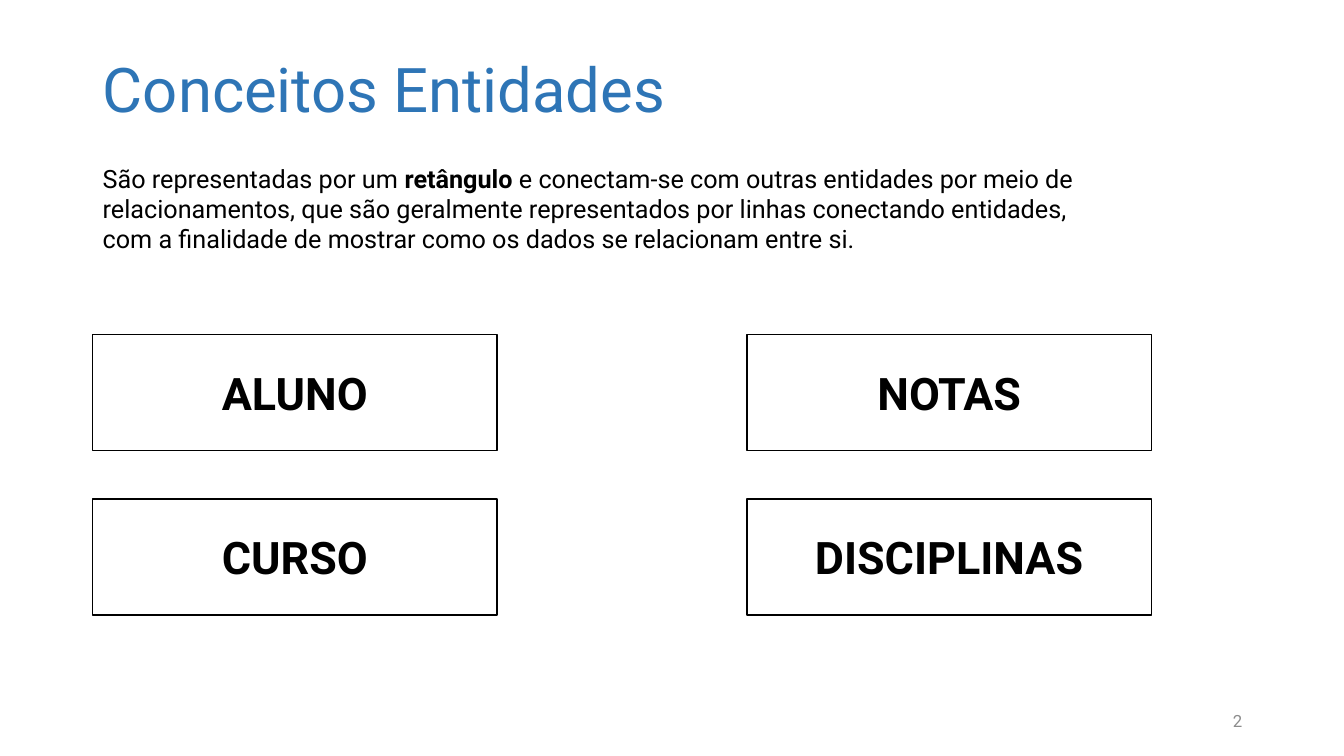
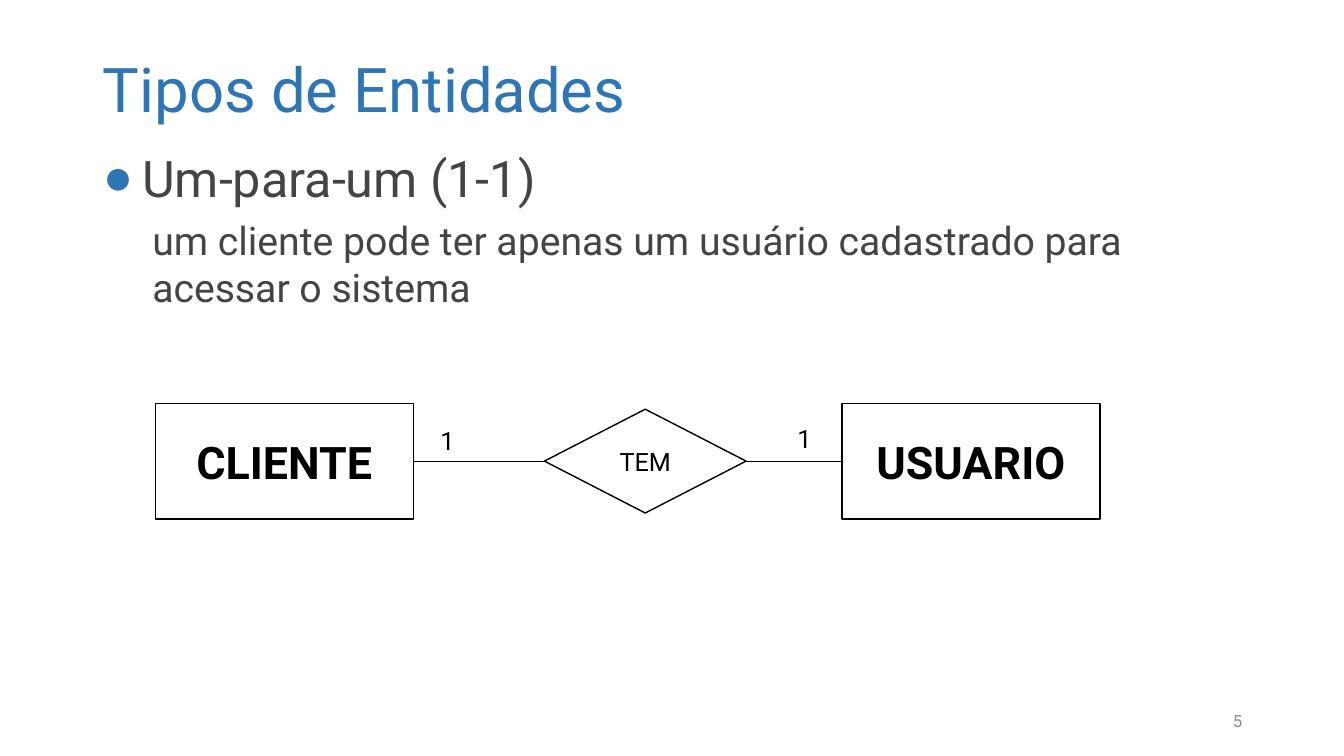
from lxml import etree
from pptx import Presentation
from pptx.dml.color import RGBColor
from pptx.enum.shapes import MSO_CONNECTOR, MSO_SHAPE
from pptx.enum.text import MSO_ANCHOR, MSO_AUTO_SIZE, PP_ALIGN
from pptx.oxml.ns import qn
from pptx.util import Inches, Pt

LEFT, CENTER, RIGHT = PP_ALIGN.LEFT, PP_ALIGN.CENTER, PP_ALIGN.RIGHT
TOP, MIDDLE = MSO_ANCHOR.TOP, MSO_ANCHOR.MIDDLE
NO_FIT, GROW = MSO_AUTO_SIZE.NONE, MSO_AUTO_SIZE.SHAPE_TO_FIT_TEXT
RECTANGLE, DECISION = MSO_SHAPE.RECTANGLE, MSO_SHAPE.FLOWCHART_DECISION
STRAIGHT = MSO_CONNECTOR.STRAIGHT
SITE_LEFT, SITE_RIGHT = 1, 3
TITLE_ONLY, TITLE_AND_BODY = 5, 1

FONT = "Roboto"
COLORS = {"accent": "2E75B6", "body": "444444", "ink": "000000",
          "paper": "FFFFFF", "page": "8C8C8C"}
MARGIN = 0.92
CONTENT_WIDTH = 11.5

INTRO = [
    [("São representadas por um ", False), ("retângulo", True),
     (" e conectam-se com outras entidades por meio de", False)],
    [("relacionamentos, que são geralmente representados por linhas conectando entidades,", False)],
    [("com a finalidade de mostrar como os dados se relacionam entre si.", False)],
]
ENTITY_GRID = [["ALUNO", "NOTAS"], ["CURSO", "DISCIPLINAS"]]
RELATION_TYPE = "Um-para-um (1-1)"
RELATION_EXAMPLE = "um cliente pode ter apenas um usuário cadastrado para acessar o sistema"
DIAGRAM_NODES = [
    ("CLIENTE", RECTANGLE, (1.54, 4, 2.56, 1.15), 32, True),
    ("TEM", DECISION, (5.4, 4.06, 2, 1.03), 18, False),
    ("USUARIO", RECTANGLE, (8.35, 4, 2.56, 1.15), 32, True),
]
CARDINALITIES = [("1", (4.27, 4.17, 0.34, 0.4)), ("1", (7.81, 4.15, 0.34, 0.4))]


def color(name):
    return RGBColor.from_string(COLORS[name])


def place(shape, box):
    shape.left, shape.top, shape.width, shape.height = map(Inches, box)


def add_run(paragraph, text, size, color_name="ink", bold=False):
    run = paragraph.add_run()
    run.text = text
    run.font.name = FONT
    run.font.size = Pt(size)
    run.font.bold = bold
    run.font.color.rgb = color(color_name)


def add_text(shapes, box, lines, size, color_name="ink", align=LEFT,
             anchor=TOP, wrap=False, fit=GROW):
    frame = shapes.add_textbox(*map(Inches, box)).text_frame
    frame.word_wrap = wrap
    frame.auto_size = fit
    frame.vertical_anchor = anchor
    for index, runs in enumerate(lines):
        paragraph = frame.add_paragraph() if index else frame.paragraphs[0]
        paragraph.alignment = align
        for text, bold in runs:
            add_run(paragraph, text, size, color_name, bold)


def add_node(shapes, text, kind, box, size, bold):
    node = shapes.add_shape(kind, *map(Inches, box))
    node.shadow.inherit = False
    node.fill.solid()
    node.fill.fore_color.rgb = color("paper")
    node.line.color.rgb = color("ink")
    node.line.width = Pt(1)
    node.text_frame.vertical_anchor = MIDDLE
    paragraph = node.text_frame.paragraphs[0]
    paragraph.alignment = CENTER
    add_run(paragraph, text, size, bold=bold)
    return node


def link(shapes, source, target):
    connector = shapes.add_connector(STRAIGHT, 0, 0, 0, 0)
    connector.begin_connect(source, SITE_RIGHT)
    connector.end_connect(target, SITE_LEFT)
    connector.line.color.rgb = color("ink")
    connector.line.width = Pt(0.5)
    etree.SubElement(connector.element.spPr, qn("a:effectLst"))


def format_item(paragraph, text, size, margin, indent, bullet=None):
    paragraph.space_before = Pt(0)
    paragraph.space_after = Pt(6)
    properties = paragraph._p.get_or_add_pPr()
    properties.set("marL", str(Inches(margin)))
    properties.set("indent", str(Inches(indent)))
    if bullet:
        bullet_color = etree.SubElement(properties, qn("a:buClr"))
        etree.SubElement(bullet_color, qn("a:srgbClr"), val=COLORS["accent"])
        etree.SubElement(properties, qn("a:buChar"), char=bullet)
    else:
        etree.SubElement(properties, qn("a:buNone"))
    add_run(paragraph, text, size, "body")


def add_slide(presentation, layout, title_text, page):
    slide = presentation.slides.add_slide(presentation.slide_layouts[layout])
    title = slide.shapes.title
    place(title, (MARGIN, 0.4, CONTENT_WIDTH, 1.03))
    title.text_frame.auto_size = NO_FIT
    title.text_frame.vertical_anchor = MIDDLE
    paragraph = title.text_frame.paragraphs[0]
    paragraph.alignment = LEFT
    paragraph.line_spacing = 0.9
    add_run(paragraph, title_text, 44, "accent")
    add_text(slide.shapes, (9.42, 6.95, 3, 0.4), [[(page, False)]], 12, "page",
             RIGHT, MIDDLE, True, NO_FIT)
    return slide


def build_entities(presentation):
    shapes = add_slide(presentation, TITLE_ONLY, "Conceitos Entidades", "2").shapes
    for row, names in enumerate(ENTITY_GRID):
        for column, name in enumerate(names):
            box = (MARGIN + column * 6.49, 3.32 + row * 1.63, 4.01, 1.15)
            add_node(shapes, name, RECTANGLE, box, 32, True)
    add_text(shapes, (MARGIN, 1.57, 9.92, 1.01), INTRO, 18)


def build_relation(presentation):
    slide = add_slide(presentation, TITLE_AND_BODY, "Tipos de Entidades", "5")
    body = slide.placeholders[1]
    place(body, (MARGIN, 1.41, CONTENT_WIDTH, 5.18))
    frame = body.text_frame
    frame.auto_size = NO_FIT
    format_item(frame.paragraphs[0], RELATION_TYPE, 36, 0.39, -0.39, "●")
    example = frame.add_paragraph()
    example.level = 1
    format_item(example, RELATION_EXAMPLE, 28, 0.49, 0)

    diagram = slide.shapes.add_group_shape().shapes
    nodes = [add_node(diagram, *node) for node in DIAGRAM_NODES]
    for source, target in zip(nodes, nodes[1:]):
        link(diagram, source, target)
    for text, box in CARDINALITIES:
        add_text(diagram, box, [[(text, False)]], 18)


def main():
    """Build the entity slides and save them."""
    presentation = Presentation()
    presentation.slide_width = Inches(13.33)
    presentation.slide_height = Inches(7.5)
    build_entities(presentation)
    build_relation(presentation)
    presentation.save("out.pptx")


if __name__ == "__main__":
    main()
